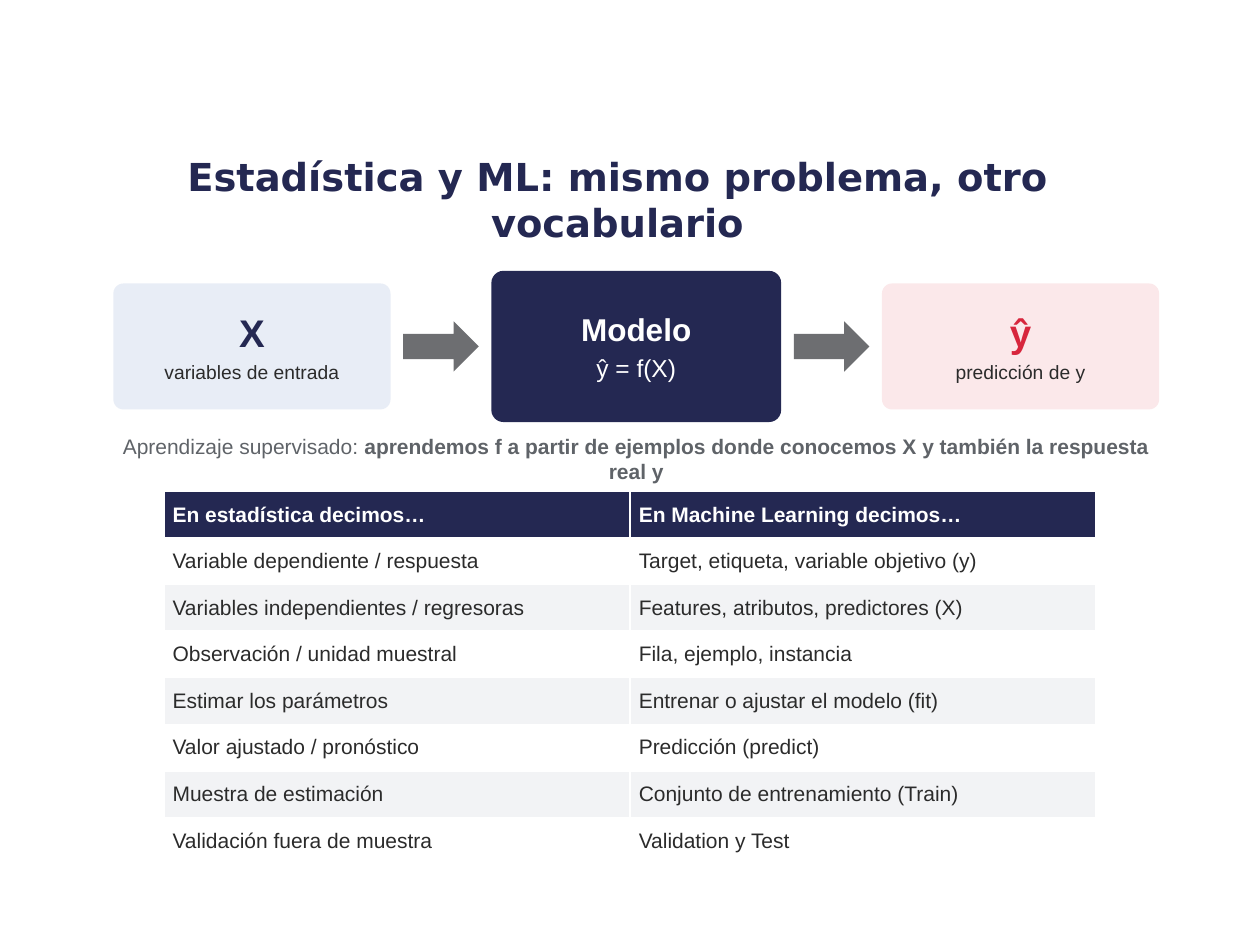
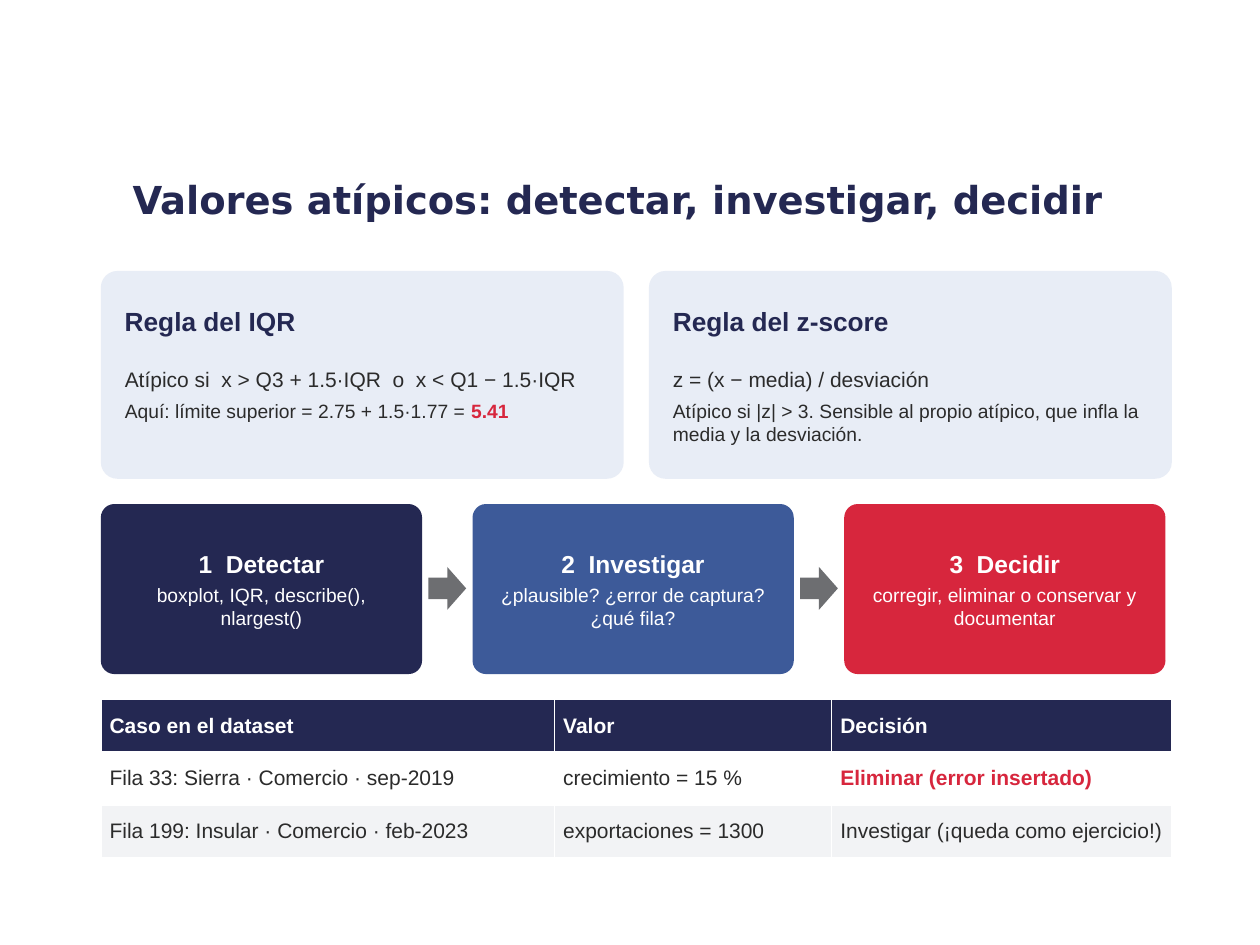
from dataclasses import dataclass

from pptx import Presentation
from pptx.dml.color import RGBColor
from pptx.enum.shapes import MSO_SHAPE
from pptx.enum.text import MSO_ANCHOR, MSO_AUTO_SIZE, PP_ALIGN
from pptx.util import Inches, Pt

COLORS = {
    "navy": "242852",
    "blue": "3D5A99",
    "red": "D7263D",
    "pale_blue": "E8EDF6",
    "pale_red": "FBE8EA",
    "arrow": "6D6E71",
    "ink": "2B2B2B",
    "muted": "5F6368",
    "stripe": "F2F3F5",
    "white": "FFFFFF",
}
TITLE_FONT = "DejaVu Sans"
BODY_FONT = "Arial"


@dataclass(frozen=True)
class Span:
    text: str
    size: float
    color: str = "ink"
    bold: bool = False
    font: str = BODY_FONT


@dataclass(frozen=True)
class Area:
    left: float
    top: float
    width: float
    height: float

    def lengths(self):
        return [Inches(value) for value in (self.left, self.top, self.width, self.height)]


@dataclass(frozen=True)
class Card:
    area: Area
    fill: str
    heading: Span
    detail: Span


@dataclass(frozen=True)
class Rule:
    heading: str
    formula: str
    note: list[Span]


@dataclass(frozen=True)
class Step:
    heading: str
    detail: str
    fill: str


def color(name: str) -> RGBColor:
    return RGBColor.from_string(COLORS[name])


# Shared text and shape helpers
def format_run(run, span: Span) -> None:
    run.text = span.text
    run.font.name = span.font
    run.font.size = Pt(span.size)
    run.font.bold = span.bold
    run.font.color.rgb = color(span.color)


def write(frame, lines: list[list[Span]], align: PP_ALIGN, space_after: float) -> None:
    for index, spans in enumerate(lines):
        para = frame.paragraphs[0] if index == 0 else frame.add_paragraph()
        para.alignment = align
        para.space_after = Pt(space_after)
        for span in spans:
            format_run(para.add_run(), span)


def set_margins(target, horizontal: float, vertical: float) -> None:
    target.margin_left = target.margin_right = Inches(horizontal)
    target.margin_top = target.margin_bottom = Inches(vertical)


def add_page(deck, title: str):
    page = deck.slides.add_slide(deck.slide_layouts[5])
    box = page.shapes.title
    box.left, box.top, box.width, box.height = Area(0.75, 1.18, 8.3, 0.8).lengths()
    frame = box.text_frame
    frame.auto_size = MSO_AUTO_SIZE.NONE
    frame.vertical_anchor = MSO_ANCHOR.MIDDLE
    write(frame, [[Span(title, 22, "navy", True, TITLE_FONT)]], PP_ALIGN.CENTER, 0)
    return page


def add_block(page, kind: MSO_SHAPE, area: Area, fill: str):
    block = page.shapes.add_shape(kind, *area.lengths())
    block.shadow.inherit = False
    block.fill.solid()
    block.fill.fore_color.rgb = color(fill)
    block.line.fill.background()
    return block


def add_panel(page, area: Area, fill: str):
    panel = add_block(page, MSO_SHAPE.ROUNDED_RECTANGLE, area, fill)
    panel.adjustments[0] = 0.08
    return panel


def add_arrow(page, area: Area) -> None:
    add_block(page, MSO_SHAPE.RIGHT_ARROW, area, "arrow")


def add_card(page, card: Card) -> None:
    frame = add_panel(page, card.area, card.fill).text_frame
    frame.word_wrap = True
    frame.vertical_anchor = MSO_ANCHOR.MIDDLE
    set_margins(frame, 0.08, 0.08)
    write(frame, [[card.heading], [card.detail]], PP_ALIGN.CENTER, 3)


def add_text(page, area: Area, lines: list[list[Span]], align=PP_ALIGN.LEFT,
             anchor=MSO_ANCHOR.TOP) -> None:
    frame = page.shapes.add_textbox(*area.lengths()).text_frame
    frame.word_wrap = True
    frame.auto_size = MSO_AUTO_SIZE.SHAPE_TO_FIT_TEXT
    frame.vertical_anchor = anchor
    set_margins(frame, 0.04, 0.04)
    write(frame, lines, align, 4)


def add_grid(page, left: float, top: float, widths: list[float], row_height: float,
             rows: list[tuple[str, ...]], highlight: str = "") -> None:
    area = Area(left, top, sum(widths), row_height * len(rows))
    table = page.shapes.add_table(len(rows), len(widths), *area.lengths()).table
    for column, width in zip(table.columns, widths):
        column.width = Inches(width)
    for row_index, texts in enumerate(rows):
        table.rows[row_index].height = Inches(row_height)
        header = row_index == 0
        fill = "navy" if header else "white" if row_index % 2 else "stripe"
        for column_index, text in enumerate(texts):
            cell = table.cell(row_index, column_index)
            cell.fill.solid()
            cell.fill.fore_color.rgb = color(fill)
            cell.vertical_anchor = MSO_ANCHOR.MIDDLE
            set_margins(cell, 0.07, 0.03)
            marked = text == highlight
            ink = "white" if header else "red" if marked else "ink"
            format_run(cell.text_frame.paragraphs[0].add_run(),
                       Span(text, 12, ink, header or marked))


# Slide 1: the two vocabularies
def build_vocabulary(deck) -> None:
    page = add_page(deck, "Estadística y ML: mismo problema, otro vocabulario")

    # Input, model, prediction
    cards = [
        Card(Area(0.9, 2.25, 2.2, 1), "pale_blue",
             Span("X", 22, "navy", True), Span("variables de entrada", 11)),
        Card(Area(3.9, 2.15, 2.3, 1.2), "navy",
             Span("Modelo", 18, "white", True), Span("ŷ = f(X)", 14, "white")),
        Card(Area(7, 2.25, 2.2, 1), "pale_red",
             Span("ŷ", 22, "red", True), Span("predicción de y", 11)),
    ]
    for card in cards:
        add_card(page, card)
    for card in cards[:-1]:
        add_arrow(page, Area(card.area.left + card.area.width + 0.1, 2.55, 0.6, 0.4))

    add_text(page, Area(0.9, 3.4, 8.3, 0.4), [[
        Span("Aprendizaje supervisado: ", 12, "muted"),
        Span("aprendemos f a partir de ejemplos donde conocemos X "
             "y también la respuesta real y", 12, "muted", True),
    ]], PP_ALIGN.CENTER)

    # Equivalent terms
    add_grid(page, 1.3, 3.9, [3.7, 3.7], 0.37, [
        ("En estadística decimos…", "En Machine Learning decimos…"),
        ("Variable dependiente / respuesta", "Target, etiqueta, variable objetivo (y)"),
        ("Variables independientes / regresoras", "Features, atributos, predictores (X)"),
        ("Observación / unidad muestral", "Fila, ejemplo, instancia"),
        ("Estimar los parámetros", "Entrenar o ajustar el modelo (fit)"),
        ("Valor ajustado / pronóstico", "Predicción (predict)"),
        ("Muestra de estimación", "Conjunto de entrenamiento (Train)"),
        ("Validación fuera de muestra", "Validation y Test"),
    ])


# Slide 2: outliers
def build_outliers(deck) -> None:
    page = add_page(deck, "Valores atípicos: detectar, investigar, decidir")
    left = 0.8

    # Detection rules
    rules = [
        Rule("Regla del IQR", "Atípico si  x > Q3 + 1.5·IQR  o  x < Q1 − 1.5·IQR",
             [Span("Aquí: límite superior = 2.75 + 1.5·1.77 = ", 11),
              Span("5.41", 11, "red", True)]),
        Rule("Regla del z-score", "z = (x − media) / desviación",
             [Span("Atípico si |z| > 3. Sensible al propio atípico, "
                   "que infla la media y la desviación.", 11)]),
    ]
    for index, rule in enumerate(rules):
        rule_left = left + index * 4.35
        text_left = rule_left + 0.15
        add_panel(page, Area(rule_left, 2.15, 4.15, 1.65), "pale_blue")
        add_text(page, Area(text_left, 2.27, 3.9, 0.55),
                 [[Span(rule.heading, 15, "navy", True)]], anchor=MSO_ANCHOR.MIDDLE)
        add_text(page, Area(text_left, 2.87, 3.85, 0.85),
                 [[Span(rule.formula, 12)], rule.note])

    # Three steps joined by arrows
    steps = [
        Step("1  Detectar", "boxplot, IQR, describe(), nlargest()", "navy"),
        Step("2  Investigar", "¿plausible? ¿error de captura? ¿qué fila?", "blue"),
        Step("3  Decidir", "corregir, eliminar o conservar y documentar", "red"),
    ]
    step_width, step_gap = 2.55, 0.4
    for index, step in enumerate(steps):
        step_left = left + index * (step_width + step_gap)
        if index:
            add_arrow(page, Area(step_left - 0.35, 4.5, 0.3, 0.34))
        add_card(page, Card(Area(step_left, 4, step_width, 1.35), step.fill,
                            Span(step.heading, 14, "white", True),
                            Span(step.detail, 11, "white")))

    # Cases found
    add_grid(page, left, 5.55, [3.6, 2.2, 2.7], 0.42, [
        ("Caso en el dataset", "Valor", "Decisión"),
        ("Fila 33: Sierra · Comercio · sep-2019", "crecimiento = 15 %",
         "Eliminar (error insertado)"),
        ("Fila 199: Insular · Comercio · feb-2023", "exportaciones = 1300",
         "Investigar (¡queda como ejercicio!)"),
    ], highlight="Eliminar (error insertado)")


def main() -> None:
    deck = Presentation()
    deck.slide_width, deck.slide_height = Inches(10), Inches(7.5)
    build_vocabulary(deck)
    build_outliers(deck)
    deck.save("out.pptx")


if __name__ == "__main__":
    main()
